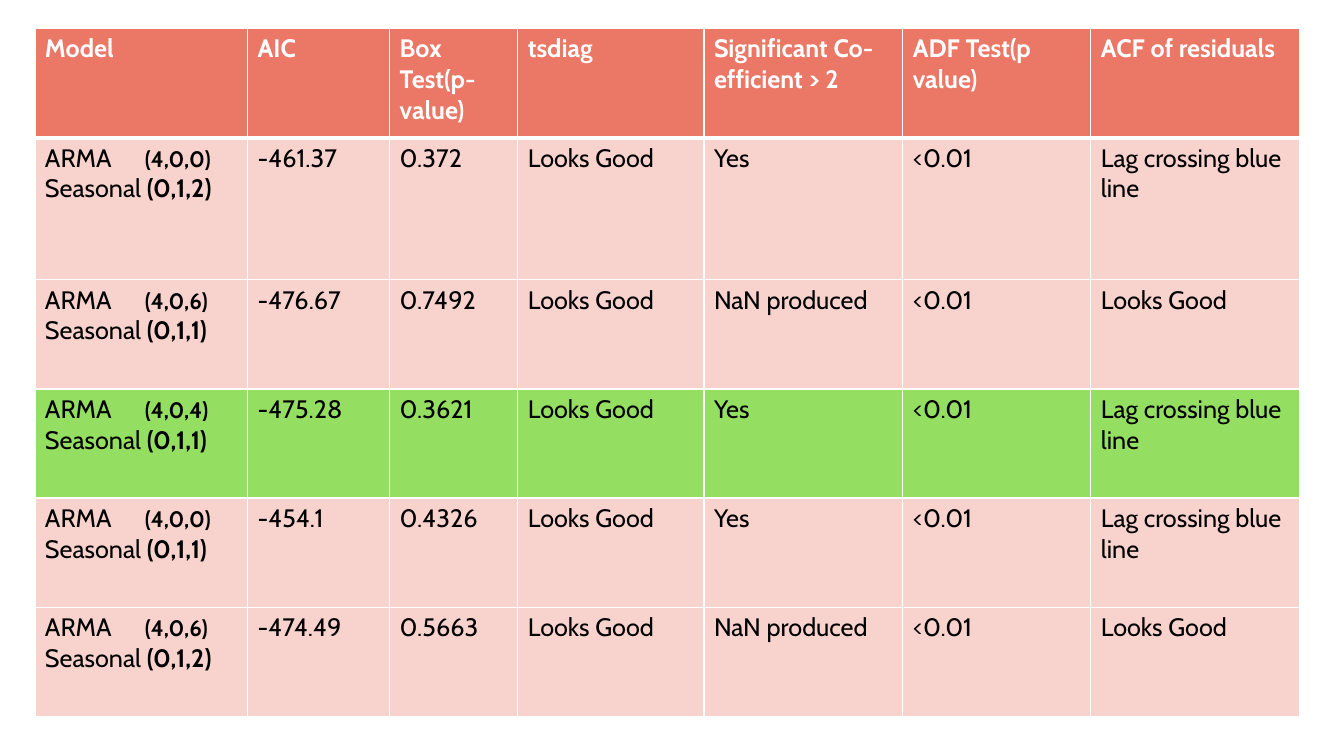
import pptx
import pptx.dml.color
import pptx.oxml
import pptx.oxml.ns
import pptx.util

Cm = pptx.util.Cm
Pt = pptx.util.Pt


def tint(code):
    return pptx.dml.color.RGBColor.from_string(code)


class Deck:
    font = "Cabin"
    white = "FFFFFF"
    black = "000000"
    coral = "EB7766"
    pink = "F8D2CC"
    green = "94DE61"

    def __init__(self, wide, high):
        self.deck = pptx.Presentation()
        self.deck.slide_width = Cm(wide)
        self.deck.slide_height = Cm(high)
        self.slide = self.deck.slides.add_slide(self.deck.slide_layouts[6])

    def grid(self, left, top, cols, rows):
        frame = self.slide.shapes.add_table(
            len(rows), len(cols), Cm(left), Cm(top), Cm(sum(cols)), Cm(sum(rows))
        )
        table = frame.table
        for col, width in zip(table.columns, cols):
            col.width = Cm(width)
        for row, height in zip(table.rows, rows):
            row.height = Cm(height)
        return table

    def cell(self, cell, runs, color, fill):
        cell.fill.solid()
        cell.fill.fore_color.rgb = tint(fill)
        para = cell.text_frame.paragraphs[0]
        for text, size, bold in runs:
            run = para.add_run()
            run.text = text
            style = {"name": self.font, "size": Pt(size), "bold": bold}
            for key, value in style.items():
                setattr(run.font, key, value)
            run.font.color.rgb = tint(color)

    def edge(self, cell, sides):
        props = cell._tc.get_or_add_tcPr()
        for spot, (side, width) in enumerate(sides.items()):
            line = pptx.oxml.parse_xml(
                f'<a:ln{side} {pptx.oxml.ns.nsdecls("a")} w="{Pt(width)}">'
                f'<a:solidFill><a:srgbClr val="{self.white}"/></a:solidFill>'
                f"</a:ln{side}>"
            )
            props.insert(spot, line)

    def tab(self, cell, stop):
        props = cell.text_frame.paragraphs[0]._p.get_or_add_pPr()
        props.append(pptx.oxml.parse_xml(
            f'<a:tabLst {pptx.oxml.ns.nsdecls("a")}>'
            f'<a:tab pos="{Cm(stop)}" algn="l"/></a:tabLst>'
        ))

    def save(self):
        self.deck.save("out.pptx")


HEADS = [
    "Model", "AIC", "Box Test(p-value)", "tsdiag",
    "Significant Co-efficient > 2", "ADF Test(p value)", "ACF of residuals",
]
GOOD = "Looks Good"
LAG = "Lag crossing blue line"
NAN = "NaN produced"
MODELS = [
    ("(4,0,0)", "(0,1,2)", "-461.37", "0.372", "Yes", LAG),
    ("(4,0,6)", "(0,1,1)", "-476.67", "0.7492", NAN, GOOD),
    ("(4,0,4)", "(0,1,1)", "-475.28", "0.3621", "Yes", LAG),
    ("(4,0,0)", "(0,1,1)", "-454.1", "0.4326", "Yes", LAG),
    ("(4,0,6)", "(0,1,2)", "-474.49", "0.5663", NAN, GOOD),
]
BEST = 2


def main():
    deck = Deck(33.87, 19.05)
    cols = [5.36, 3.58, 3.23, 4.69, 5.01, 4.74, 5.25]
    rows = [2.75, 3.58] + [2.75] * 4
    table = deck.grid(0.88, 0.72, cols, rows)
    for col, head in enumerate(HEADS):
        cell = table.cell(0, col)
        deck.cell(cell, [(head, 18, True)], deck.white, deck.coral)
        deck.edge(cell, {"L": 1, "R": 1, "T": 1, "B": 3})
    for row, (order, season, aic, box, sig, acf) in enumerate(MODELS):
        fill = deck.green if row == BEST else deck.pink
        name = [
            ("ARMA\t", 18, False), (order, 16, True),
            (" Seasonal ", 18, False), (season, 18, True),
        ]
        rest = [aic, box, GOOD, sig, "<0.01", acf]
        parts = [name] + [[(text, 18, False)] for text in rest]
        for col, runs in enumerate(parts):
            cell = table.cell(row + 1, col)
            deck.cell(cell, runs, deck.black, fill)
            deck.edge(cell, {"L": 1, "R": 1, "T": 1 if row else 3, "B": 1})
        deck.tab(table.cell(row + 1, 0), 2.52)
    deck.save()


if __name__ == "__main__":
    main()
